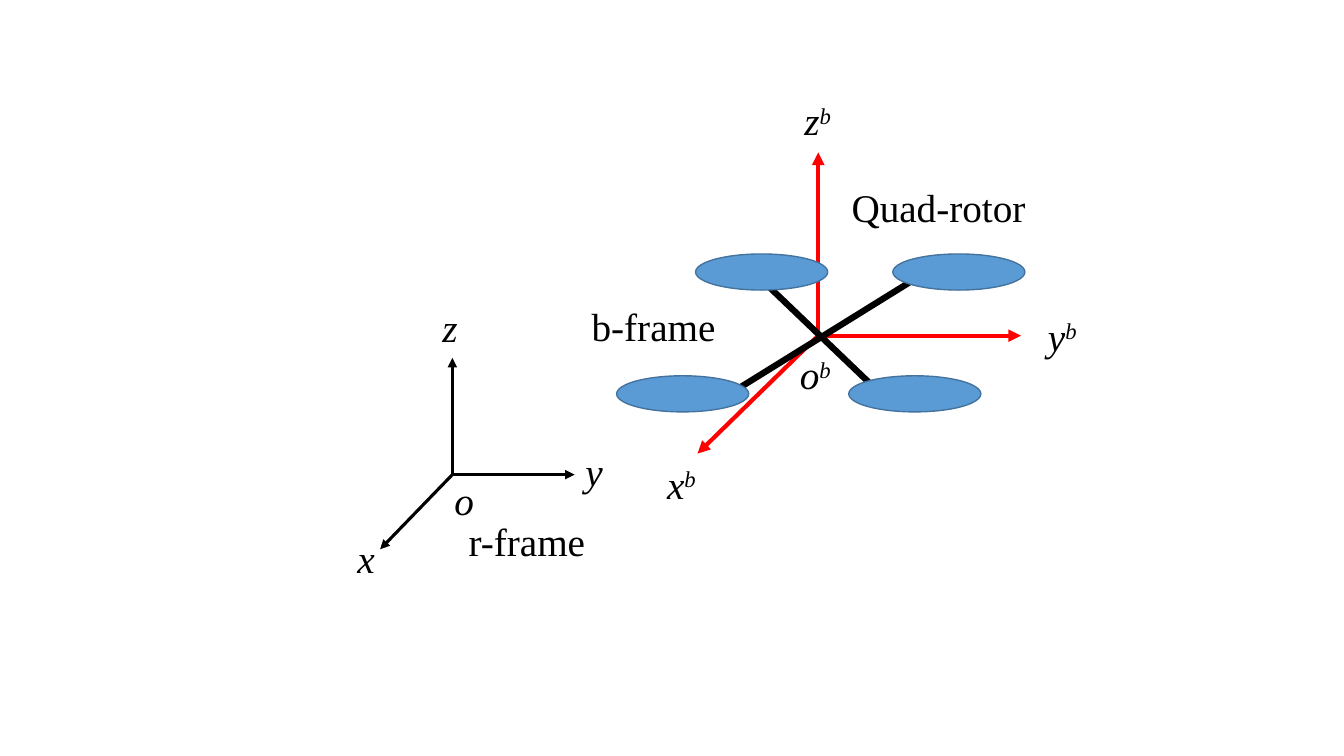
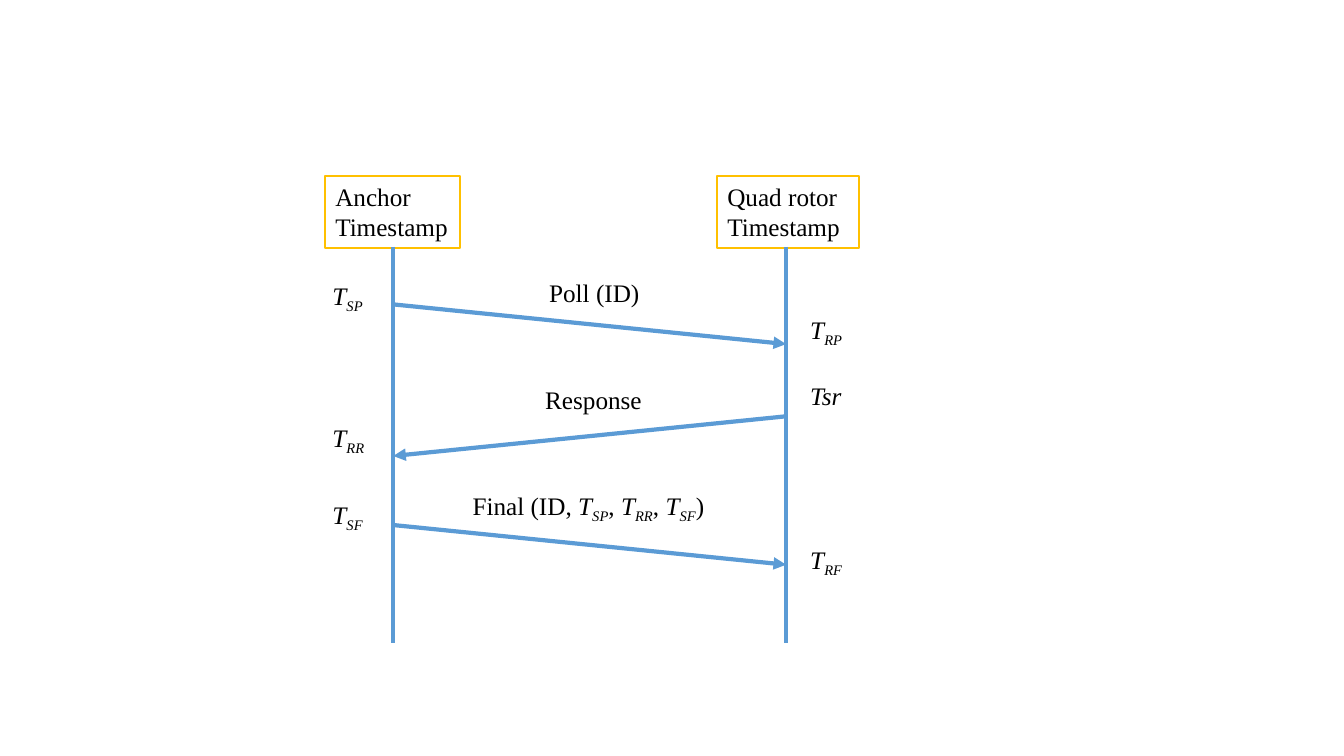
from pptx import Presentation
from pptx.dml.color import RGBColor
from pptx.enum.shapes import MSO_CONNECTOR, MSO_SHAPE
from pptx.enum.text import MSO_AUTO_SIZE
from pptx.oxml.ns import qn
from pptx.util import Cm, Pt
from lxml.etree import SubElement

color = RGBColor.from_string
FONT = "Times New Roman"
BLACK, RED, BLUE = "000000", "FF0000", "5B9BD5"
DARK_BLUE, GOLD = "43739E", "FFC000"

# Text style: italic, baseline shift in thousandths of a percent
STYLES = {
    "plain": (False, 0),
    "variable": (True, 0),
    "superscript": (True, 30000),
    "subscript": (True, -25000),
}


def add_line(shapes, start, end, line_color, width, arrow=False):
    """Draw a straight line between two (x, y) points given in centimetres."""
    line = shapes.add_connector(
        MSO_CONNECTOR.STRAIGHT, *(Cm(value) for value in (*start, *end)))
    line.line.color.rgb = color(line_color)
    line.line.width = Pt(width)
    if arrow:
        SubElement(line.line._get_or_add_ln(), qn("a:tailEnd"), type="triangle")
    SubElement(line._element.spPr, qn("a:effectLst"))


def add_label(shapes, box, size, *paragraphs):
    """Add a text box; each paragraph is a list of (text, style) runs."""
    label = shapes.add_textbox(*(Cm(value) for value in box))
    frame = label.text_frame
    frame.word_wrap = False
    frame.auto_size = MSO_AUTO_SIZE.SHAPE_TO_FIT_TEXT
    for index, runs in enumerate(paragraphs):
        paragraph = frame.add_paragraph() if index else frame.paragraphs[0]
        paragraph.font.name = FONT
        paragraph.font.size = Pt(size)
        paragraph.font.color.rgb = color(BLACK)
        for text, style in runs:
            italic, baseline = STYLES[style]
            run = paragraph.add_run()
            run.text = text
            run.font.italic = italic
            if baseline:
                run._r.get_or_add_rPr().set("baseline", str(baseline))
    return label


presentation = Presentation()
presentation.slide_width = Cm(33.87)
presentation.slide_height = Cm(19.05)
blank_layout = presentation.slide_layouts[6]

# Slide 1: reference frame and body frame of the quad-rotor
slide = presentation.slides.add_slide(blank_layout)
shapes = slide.shapes

body_origin = (20.62, 8.46)
for tip in [(25.73, 8.46), (17.58, 11.43), (20.62, 3.84)]:
    add_line(shapes, body_origin, tip, RED, 3, arrow=True)

for start, end in [((18.01, 10.16), (23.67, 6.65)), ((19.1, 6.96), (22.58, 10.29))]:
    add_line(shapes, start, end, BLACK, 4.5)

for left, top in [(15.54, 9.47), (22.5, 6.4), (17.53, 6.4), (21.39, 9.47)]:
    rotor = shapes.add_shape(MSO_SHAPE.OVAL, Cm(left), Cm(top), Cm(3.33), Cm(0.91))
    rotor.shadow.inherit = False
    rotor.fill.solid()
    rotor.fill.fore_color.rgb = color(BLUE)
    rotor.line.color.rgb = color(DARK_BLUE)
    rotor.line.width = Pt(1)

reference_axes = shapes.add_group_shape()
reference_origin = (11.4, 11.96)
for tip in [(11.4, 9.02), (14.48, 11.96), (9.58, 13.84)]:
    add_line(reference_axes.shapes, reference_origin, tip, BLACK, 2.25, arrow=True)

for letter, left, top, width in [
    ("x", 8.76, 13.34, 0.97),
    ("y", 14.5, 11.15, 0.97),
    ("z", 10.9, 7.52, 0.89),
    ("o", 11.2, 11.89, 1.02),
]:
    add_label(shapes, (left, top, width, 1.45), 28, [(letter, "variable")])

for letter, left, top, width in [
    ("x", 16.56, 11.48, 1.3),
    ("y", 26.16, 7.75, 1.3),
    ("z", 20.02, 2.31, 1.24),
    ("o", 19.91, 8.71, 1.35),
]:
    add_label(shapes, (left, top, width, 1.45), 28,
              [(letter, "variable"), ("b", "superscript")])

for text, left, top, width in [
    ("Quad-rotor", 21.21, 4.5, 4.95),
    ("b-frame", 14.66, 7.49, 3.66),
    ("r-frame", 11.56, 12.9, 3.48),
]:
    add_label(shapes, (left, top, width, 1.45), 28, [(text, "plain")])

# Slide 2: message exchange between anchor and quad rotor
slide = presentation.slides.add_slide(blank_layout)
shapes = slide.shapes

anchor_x, rotor_x = 9.91, 19.81
for name, left, width, lifeline_x in [
    ("Anchor", 8.2, 3.4, anchor_x),
    ("Quad rotor", 18.08, 3.56, rotor_x),
]:
    header = add_label(shapes, (left, 4.44, width, 1.8), 18,
                       [(name, "plain")], [("Timestamp", "plain")])
    header.text_frame.word_wrap = True
    header.line.color.rgb = color(GOLD)
    header.line.width = Pt(1.5)
    add_line(shapes, (lifeline_x, 6.22), (lifeline_x, 16.21), BLUE, 3)

message_drop = 1
for start_x, end_x, top in [
    (anchor_x, rotor_x, 7.67),
    (rotor_x, anchor_x, 10.49),
    (anchor_x, rotor_x, 13.23),
]:
    add_line(shapes, (start_x, top), (end_x, top + message_drop), BLUE, 3, arrow=True)

for index, left, top in [
    ("SP", 8.13, 6.93),
    ("RR", 8.13, 10.52),
    ("SF", 8.13, 12.45),
    ("RP", 20.17, 7.8),
    ("RF", 20.17, 13.59),
]:
    add_label(shapes, (left, top, 1.4, 1.02), 18,
              [("T", "variable"), (index, "subscript")])
add_label(shapes, (20.17, 9.45, 1.32, 1.02), 18, [("Tsr", "variable")])

final_runs = [("Final (ID, ", "plain")]
for index, separator in [("SP", ", "), ("RR", ", "), ("SF", ")")]:
    final_runs += [("T", "variable"), (index, "subscript"), (separator, "plain")]

for runs, left, top, width in [
    ([("Poll (ID)", "plain")], 13.59, 6.86, 2.82),
    ([("Response", "plain")], 13.49, 9.55, 2.97),
    (final_runs, 11.66, 12.22, 6.65),
]:
    add_label(shapes, (left, top, width, 1.02), 18, runs)

presentation.save("out.pptx")
